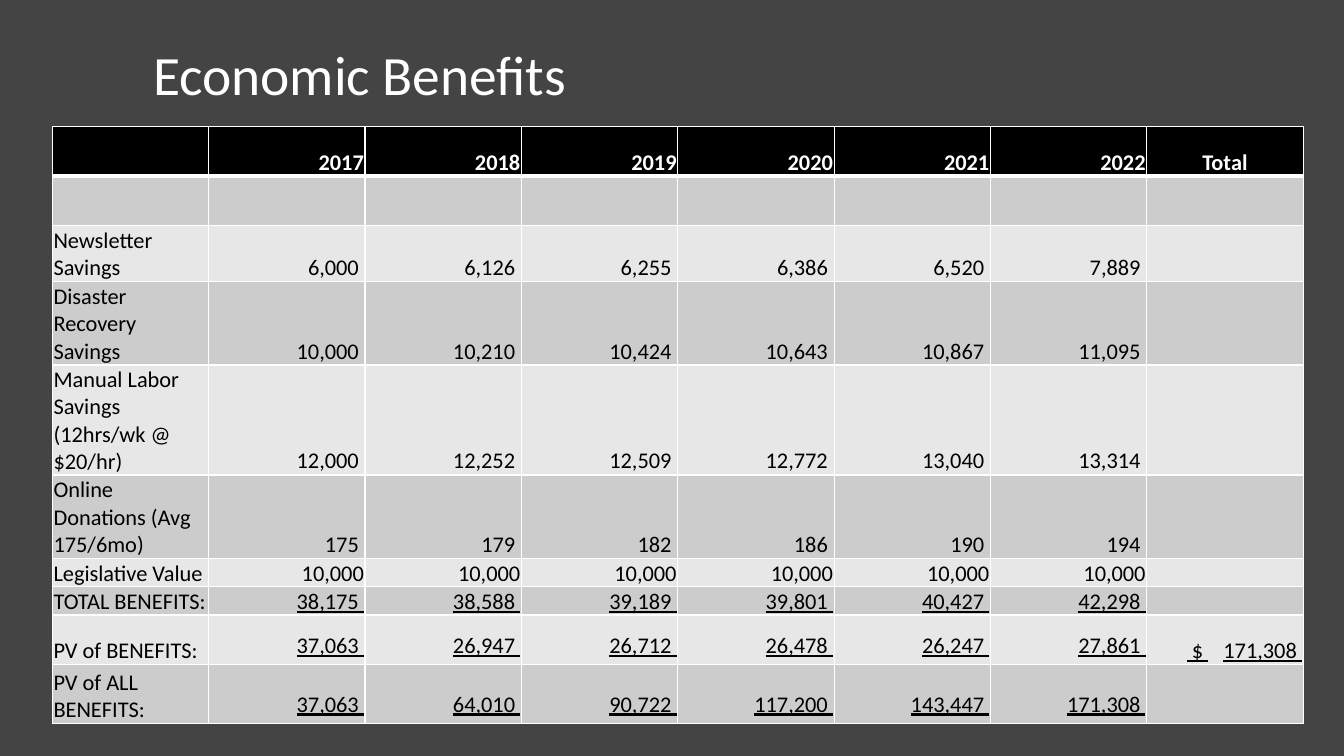
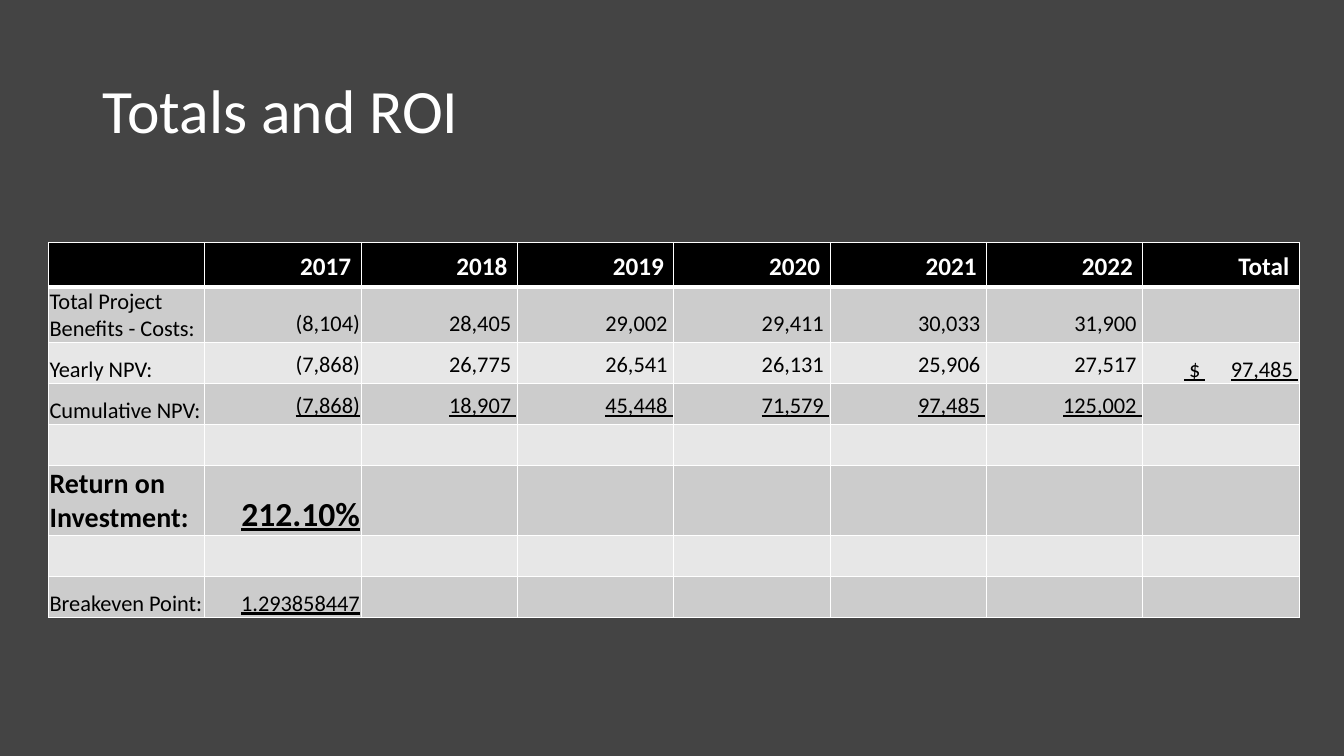
"""Build the economic benefits and return on investment slides."""
from lxml import etree
from pptx import Presentation
from pptx import util as u
from pptx.dml.color import RGBColor
from pptx.enum import text
from pptx.oxml.ns import qn

LEFT, CENTER, RIGHT = text.PP_ALIGN.LEFT, text.PP_ALIGN.CENTER, text.PP_ALIGN.RIGHT
YEARS = "2017 2018 2019 2020 2021 2022".split()


def rgb(value):
    return RGBColor.from_string(value)


def add_run(p, content, size=16, color="000000", bold=False, underline=False, spacing=0):
    r = p.add_run()
    r.text = content
    r.font.name = Deck.FONT
    r.font.size = u.Pt(size)
    r.font.bold = bold
    r.font.underline = underline
    r.font.color.rgb = rgb(color)
    if spacing:
        r._r.get_or_add_rPr().set("spc", str(round(spacing * 100)))


class Deck:
    FONT = "Calibri"
    BACK, HEAD, WHITE = "444444", "000000", "FFFFFF"
    BANDS = ("E7E7E7", "CCCCCC")
    COLUMN = 3.94
    THIN = 0.03
    LIFT = 0.13

    def __init__(self):
        self.prs = Presentation()
        self.prs.slide_width, self.prs.slide_height = u.Cm(33.87), u.Cm(19.05)
        self.s = None

    def slide(self):
        self.s = self.prs.slides.add_slide(self.prs.slide_layouts[6])
        fill = self.s.background.fill
        fill.solid()
        fill.fore_color.rgb = rgb(self.BACK)

    def title(self, content, x, y, w, h, size):
        tf = self.s.shapes.add_textbox(u.Cm(x), u.Cm(y), u.Cm(w), u.Cm(h)).text_frame
        tf.word_wrap = True
        tf.vertical_anchor = text.MSO_ANCHOR.MIDDLE
        p = tf.paragraphs[0]
        p.line_spacing = 0.9
        add_run(p, content, size=size, color=self.WHITE)

    def borders(self, cell, top, bottom):
        tc_pr = cell._tc.get_or_add_tcPr()
        for side, width in (("L", 1), ("R", 1), ("T", top), ("B", bottom)):
            ln = etree.SubElement(tc_pr, qn(f"a:ln{side}"), w=str(u.Pt(width)))
            fill = etree.SubElement(ln, qn("a:solidFill"))
            etree.SubElement(fill, qn("a:srgbClr"), val=self.WHITE)

    def style_cell(self, cell, row):
        self.borders(cell, 3 if row == 1 else 1, 3 if row == 0 else 1)
        cell.fill.solid()
        cell.fill.fore_color.rgb = rgb(self.BANDS[row % 2] if row else self.HEAD)
        cell.vertical_anchor = text.MSO_ANCHOR.BOTTOM
        self.insets(cell, self.THIN, self.THIN, 0)

    def insets(self, cell, side, top, bottom):
        cell.margin_left = cell.margin_right = u.Cm(side)
        cell.margin_top, cell.margin_bottom = u.Cm(top), u.Cm(bottom)

    def cell_text(self, cell, content, align=LEFT, **style):
        p = cell.text_frame.paragraphs[0]
        p.alignment = align
        if content:
            add_run(p, content, **style)
        else:
            etree.SubElement(p._p, qn("a:endParaRPr"), sz="1600")

    def cell_money(self, cell, amount, gap):
        p = cell.text_frame.paragraphs[0]
        p.alignment = RIGHT
        for content, spacing in ((" $", 0), (" ", gap), (f"{amount} ", 0)):
            add_run(p, content, underline=True, spacing=spacing)

    def header(self, cells, size, total_align, roomy):
        for cell, content in zip(cells, ["", *YEARS, "Total"]):
            align = total_align if content == "Total" else RIGHT
            self.cell_text(cell, content, align, size=size, color=self.WHITE, bold=True)
            if roomy:
                self.insets(cell, 0.25, 0.13, 0.13)

    def body_row(self, cells, label="", values="", tail=" ", lift=False, underline=False,
                 total=None, bold=False, label_size=16, size=16):
        self.cell_text(cells[0], label, bold=bold, size=label_size)
        amounts = values.split()
        for i, cell in enumerate(cells[1:]):
            if total and i == len(YEARS):
                self.cell_money(cell, *total)
            elif i < len(amounts):
                end = "" if amounts[i].endswith(")") else tail
                self.cell_text(cell, amounts[i] + end, RIGHT, underline=underline,
                               bold=bold, size=size)
                if lift:
                    cell.margin_bottom = u.Cm(self.LIFT)
            else:
                self.cell_text(cell, "")

    def table(self, x, y, head_height, rows, size, total_align=RIGHT, roomy=False):
        heights = [head_height] + [height for height, _ in rows]
        count = len(YEARS) + 2
        tb = self.s.shapes.add_table(len(heights), count, u.Cm(x), u.Cm(y),
                                     u.Cm(count * self.COLUMN), u.Cm(sum(heights))).table
        tb.first_row = tb.horz_banding = False
        for column in tb.columns:
            column.width = u.Cm(self.COLUMN)
        for i, height in enumerate(heights):
            tb.rows[i].height = u.Cm(height)
            cells = list(tb.rows[i].cells)
            for cell in cells:
                self.style_cell(cell, i)
            if i:
                self.body_row(cells, **rows[i - 1][1])
            else:
                self.header(cells, size, total_align, roomy)


BENEFITS = [
    (1.25, {}),
    (1.4, dict(label="Newsletter Savings",
               values="6,000 6,126 6,255 6,386 6,520 7,889")),
    (2.11, dict(label="Disaster Recovery Savings",
                values="10,000 10,210 10,424 10,643 10,867 11,095")),
    (2.77, dict(label="Manual Labor Savings (12hrs/wk @ $20/hr)",
                values="12,000 12,252 12,509 12,772 13,040 13,314")),
    (2.11, dict(label="Online Donations (Avg 175/6mo)",
                values="175 179 182 186 190 194")),
    (0.71, dict(label="Legislative Value", tail="",
                values="10,000 10,000 10,000 10,000 10,000 10,000")),
    (0.71, dict(label="TOTAL BENEFITS:", underline=True,
                values="38,175 38,588 39,189 39,801 40,427 42,298")),
    (1.25, dict(label="PV of BENEFITS:", underline=True, lift=True,
                values="37,063 26,947 26,712 26,478 26,247 27,861",
                total=("171,308", 10.85))),
    (1.48, dict(label="PV of ALL BENEFITS:", underline=True, lift=True,
                values="37,063 64,010 90,722 117,200 143,447 171,308")),
]
RETURNS = [
    (1.41, dict(label="Total Project Benefits - Costs:", lift=True,
                values="(8,104) 28,405 29,002 29,411 30,033 31,900")),
    (1.03, dict(label="Yearly NPV:", lift=True, total=("97,485", 18.1),
                values="(7,868) 26,775 26,541 26,131 25,906 27,517")),
    (1.03, dict(label="Cumulative NPV:", lift=True, underline=True,
                values="(7,868) 18,907 45,448 71,579 97,485 125,002")),
    (1.03, {}),
    (1.76, dict(label="Return on Investment:", values="212.10%", tail="",
                underline=True, bold=True, label_size=20, size=24)),
    (1.03, {}),
    (1.03, dict(label="Breakeven Point:", values="1.293858447", tail="", underline=True)),
]


def main():
    deck = Deck()
    deck.slide()
    deck.title("Economic Benefits", 3.61, 1.02, 26.92, 1.88, 39.6)
    deck.table(1.32, 3.19, 1.25, BENEFITS, 16, total_align=CENTER)
    deck.slide()
    deck.title("Totals and ROI", 2.34, 1.02, 29.21, 3.68, 44)
    deck.table(1.22, 6.11, 1.12, RETURNS, 18, roomy=True)
    deck.prs.save("out.pptx")


if __name__ == "__main__":
    main()
